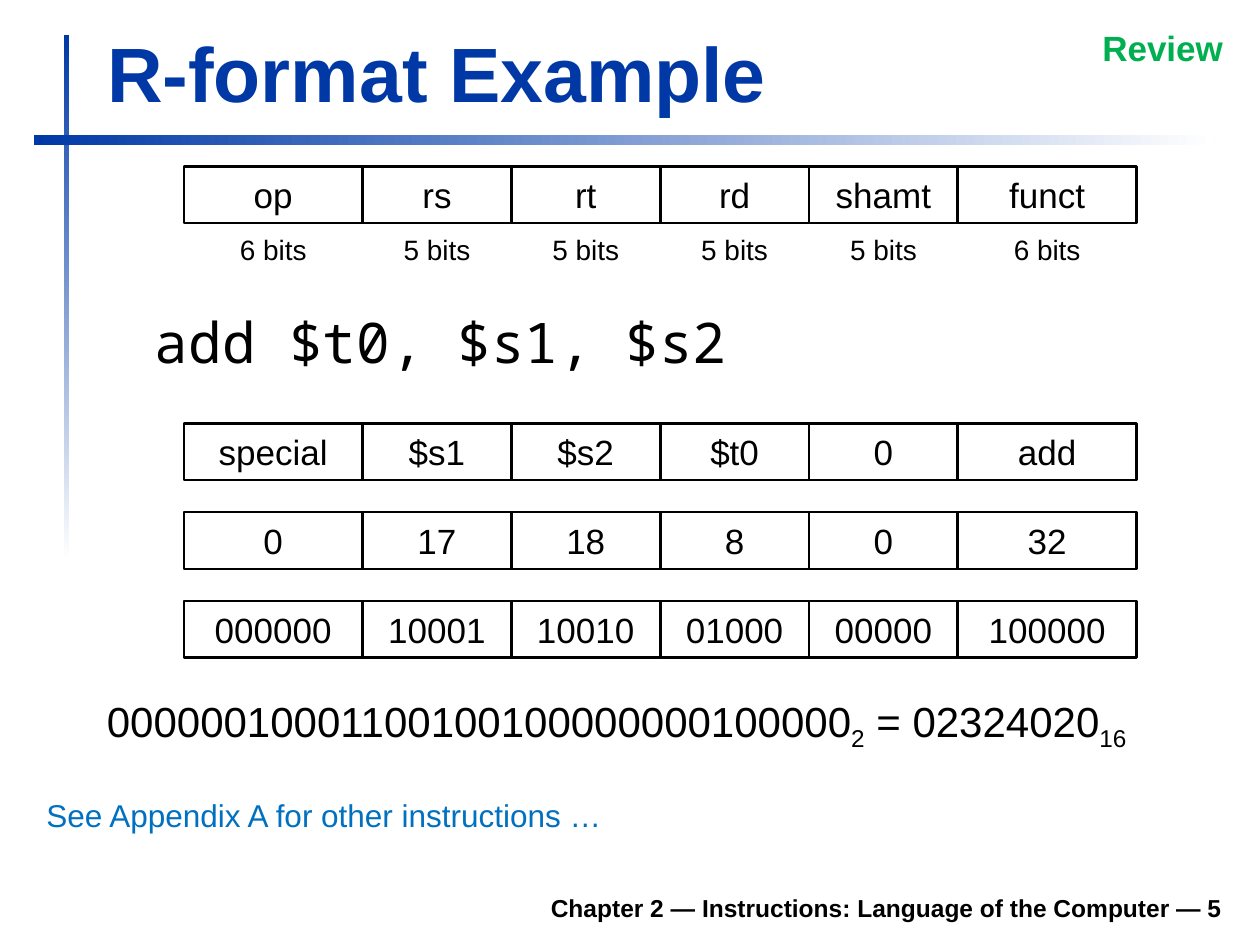
from pptx import Presentation
from pptx.dml.color import RGBColor
from pptx.enum.shapes import MSO_SHAPE as Shape
from pptx.enum.text import MSO_ANCHOR as Anchor, MSO_AUTO_SIZE as AutoSize, PP_ALIGN as Align
from pptx.oxml.ns import qn
from pptx.util import Inches, Pt
from lxml.etree import SubElement

BLACK = RGBColor(0x00, 0x00, 0x00)
WHITE = RGBColor(0xFF, 0xFF, 0xFF)
NAVY = RGBColor(0x00, 0x39, 0xA6)
BLUE = RGBColor(0x00, 0x70, 0xC0)
GREEN = RGBColor(0x00, 0xB0, 0x50)

# The page is a grid of 100 columns by 75 rows
COLUMNS, ROWS = 100, 75

# Instruction fields: name and width in bits
FIELDS = [("op", 6), ("rs", 5), ("rt", 5), ("rd", 5), ("shamt", 5), ("funct", 6)]
FIELD_LEFT, BIT_WIDTH, FIELD_HEIGHT = 14.6, 75.6 / 32, 4.5
ENCODINGS = [
    ["special", "$s1", "$s2", "$t0", "0", "add"],
    ["0", "17", "18", "8", "0", "32"],
    ["000000", "10001", "10010", "01000", "00000", "100000"],
]
ENCODING_TOP, ENCODING_STEP = 33.6, 7.05


class Page:
    def __init__(self, deck):
        self.slide = deck.slides.add_slide(deck.slide_layouts[1])
        self.column = deck.slide_width / COLUMNS
        self.row = deck.slide_height / ROWS
        self.base = {"name": "Arial", "size": Pt(20), "bold": False}

    def place(self, area):
        left, top, width, height = area
        return [round(left * self.column), round(top * self.row),
                round(width * self.column), round(height * self.row)]

    def fill_text(self, box, spans, align=Align.LEFT, anchor=Anchor.TOP, wrap=True,
                  indent=0, color=BLACK, **font):
        """Fill a box with one paragraph of (text, baseline) spans."""
        frame = box.text_frame
        frame_format = {"word_wrap": wrap, "auto_size": AutoSize.NONE, "vertical_anchor": anchor}
        for key, value in frame_format.items():
            setattr(frame, key, value)
        para = frame.paragraphs[0]
        para.alignment = align
        para.space_before = Pt(0)
        if box.is_placeholder:
            properties = para._p.get_or_add_pPr()
            properties.set("marL", str(Inches(indent)))
            properties.set("indent", "0")
            SubElement(properties, qn("a:buNone"))
        for text, baseline in spans:
            span = para.add_run()
            span.text = text
            for key, value in {**self.base, **font}.items():
                setattr(span.font, key, value)
            span.font.color.rgb = color
            if baseline:
                span._r.get_or_add_rPr().set("baseline", str(baseline * 1000))

    def placeholder(self, index, area, text, **style):
        box = self.slide.placeholders[index]
        box.left, box.top, box.width, box.height = self.place(area)
        self.fill_text(box, [(text, 0)], **style)

    def text(self, area, *spans, **style):
        box = self.slide.shapes.add_textbox(*self.place(area))
        self.fill_text(box, spans, **style)

    def rectangle(self, area):
        box = self.slide.shapes.add_shape(Shape.RECTANGLE, *self.place(area))
        box.shadow.inherit = False
        return box

    def fading_bar(self, area, angle):
        bar = self.rectangle(area)
        bar.line.fill.background()
        bar.fill.gradient()
        bar.fill.gradient_angle = angle
        for stop, color, position in zip(bar.fill.gradient_stops, (NAVY, WHITE), (0, 1)):
            stop.color.rgb = color
            stop.position = position

    def field(self, area, text):
        box = self.rectangle(area)
        box.fill.background()
        box.line.color.rgb = BLACK
        box.line.width = Pt(1.5)
        self.fill_text(box, [(text, 0)], align=Align.CENTER, anchor=Anchor.MIDDLE)

    def field_row(self, top, values, label_top=None):
        """Draw one instruction word, with bit counts below when asked."""
        left = FIELD_LEFT
        for value, (_, bits) in zip(values, FIELDS):
            width = bits * BIT_WIDTH
            self.field((left, top, width, FIELD_HEIGHT), value)
            if label_top is not None:
                self.text((left, label_top, width, 3.7), (f"{bits} bits", 0),
                          align=Align.CENTER, wrap=False, size=Pt(16))
            left += width


def main():
    deck = Presentation()
    deck.slide_width, deck.slide_height = Inches(10), Inches(7.5)
    page = Page(deck)

    # Decoration bars
    page.fading_bar((5.1, 2.8, 0.4, 41.7), 270)
    page.fading_bar((2.7, 10.7, 93.7, 0.8), 0)

    # Title, corner tag and footer
    page.placeholder(0, (7.5, 1.6, 90.3, 8.3), "R-format Example",
                     anchor=Anchor.BOTTOM, size=Pt(44), bold=True, color=NAVY)
    page.text((86.5, 1.6, 12.3, 4.4), ("Review", 0), bold=True, color=GREEN)
    page.text((18.5, 69.8, 79.5, 3.9),
              ("Chapter 2 — Instructions: Language of the Computer — 5", 0),
              align=Align.RIGHT, anchor=Anchor.BOTTOM, size=Pt(14), bold=True)

    # Field layout
    page.field_row(13.2, [name for name, _ in FIELDS], label_top=18)

    # Instruction and its encodings
    page.placeholder(1, (7.5, 23.9, 90.5, 7.1), "add $t0, $s1, $s2",
                     indent=0.38, name="Noto Sans Mono", size=Pt(32))
    for number, values in enumerate(ENCODINGS):
        page.field_row(ENCODING_TOP + number * ENCODING_STEP, values)

    # Resulting machine word and closing remark
    page.text((7.5, 54.7, 89, 5.5), ("00000010001100100100000000100000", 0), ("2", -25),
              (" = 02324020", 0), ("16", -25), size=Pt(24))
    page.text((2.7, 62.7, 95.3, 4), ("See Appendix A for other instructions …", 0),
              size=Pt(18), color=BLUE)

    deck.save("out.pptx")


if __name__ == "__main__":
    main()
